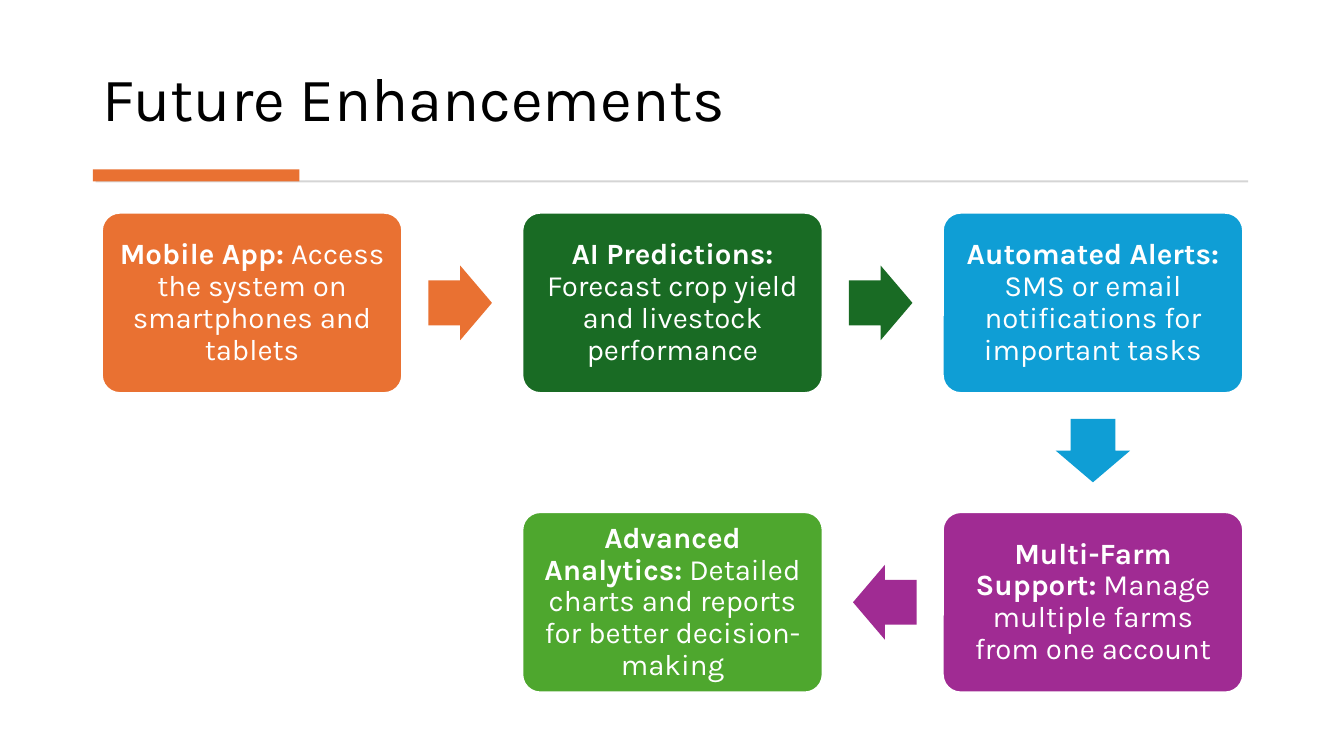
from math import atan2, degrees

from pptx import Presentation
from pptx import util as u
from pptx.dml.color import RGBColor
from pptx.enum import shapes, text

TITLE = "Future Enhancements"
HUES = {"orange": "E97132", "forest": "196B24", "blue": "0F9ED5",
        "purple": "A02B93", "green": "4EA72E", "grey": "D5D5D5",
        "white": "FFFFFF", "black": "000000"}
# column, row, colour, heading, detail; in reading order along the arrows
STEPS = [
    (0, 0, "orange", "Mobile App:", " Access the system on smartphones and tablets"),
    (1, 0, "forest", "AI Predictions:", " Forecast crop yield and livestock performance"),
    (2, 0, "blue", "Automated Alerts:", " SMS or email notifications for important tasks"),
    (2, 1, "purple", "Multi-Farm Support:", " Manage multiple farms from one account"),
    (1, 1, "green", "Advanced Analytics:",
     " Detailed charts and reports for better decision-making"),
]
FONT = "Karla"
WIDE, HIGH = 13.33, 7.5
LEFT, TOP = 1.01, 2.11
BOX_W, BOX_H = 2.98, 1.79
COL, ROW = 4.17, 2.97
ARROW_W, ARROW_H = 0.63, 0.74
BACK = 0.02  # each arrow sits slightly nearer the box it leaves

deck = Presentation()
deck.slide_width, deck.slide_height = u.Inches(WIDE), u.Inches(HIGH)
slide = deck.slides.add_slide(deck.slide_layouts[6])


def tint(hue):
    return RGBColor.from_string(HUES[hue])


def draw(kind, x, y, w, h, hue, adjust=(), edge=None):
    shape = slide.shapes.add_shape(kind, *map(u.Inches, (x, y, w, h)))
    shape.shadow.inherit = False
    shape.fill.solid()
    shape.fill.fore_color.rgb = tint(hue)
    if edge:
        shape.line.color.rgb = tint(edge)
        shape.line.width = u.Pt(1.5)
    else:
        shape.line.fill.background()
    for i, share in enumerate(adjust):
        shape.adjustments[i] = share
    return shape


def write(shape, runs, size, hue, align, anchor, inset=(0.1, 0.05)):
    """Fill a shape with one paragraph of (words, bold) runs."""
    frame = shape.text_frame
    frame.word_wrap = True
    frame.vertical_anchor = anchor
    frame.margin_left = frame.margin_right = u.Inches(inset[0])
    frame.margin_top = frame.margin_bottom = u.Inches(inset[1])
    para = frame.paragraphs[0]
    para.alignment = align
    para.line_spacing = 0.9
    for words, bold in runs:
        run = para.add_run()
        run.text = words
        run.font.name, run.font.size = FONT, u.Pt(size)
        run.font.bold = bold
        run.font.color.rgb = tint(hue)


def centre(step):
    return LEFT + step[0] * COL + BOX_W / 2, TOP + step[1] * ROW + BOX_H / 2


KIND = shapes.MSO_SHAPE
title = slide.shapes.add_textbox(*map(u.Inches, (0.92, 0.28, 11.49, 1.11)))
write(title, [(TITLE, False)], 44, "black",
      text.PP_ALIGN.LEFT, text.MSO_ANCHOR.BOTTOM)
draw(KIND.RECTANGLE, 0.95, 1.79, 11.43, 0.02, "grey")
draw(KIND.RECTANGLE, 0.92, 1.68, 2.05, 0.12, "orange")

for step in STEPS:
    x, y = centre(step)
    hue, head, detail = step[2:]
    box = draw(KIND.ROUNDED_RECTANGLE, x - BOX_W / 2, y - BOX_H / 2,
               BOX_W, BOX_H, hue, [0.1], "white")
    write(box, [(head, True), (detail, False)], 21, "white",
          text.PP_ALIGN.CENTER, text.MSO_ANCHOR.MIDDLE, (0.09, 0.09))

for step, after in zip(STEPS, STEPS[1:]):
    (x, y), (next_x, next_y) = centre(step), centre(after)
    go_x, go_y = after[0] - step[0], after[1] - step[1]
    mid_x = (x + next_x) / 2 - BACK * go_x
    mid_y = (y + next_y) / 2 - BACK * go_y
    arrow = draw(KIND.RIGHT_ARROW, mid_x - ARROW_W / 2, mid_y - ARROW_H / 2,
                 ARROW_W, ARROW_H, step[2], [0.6, 0.5])
    arrow.rotation = degrees(atan2(go_y, go_x))

deck.save("out.pptx")
